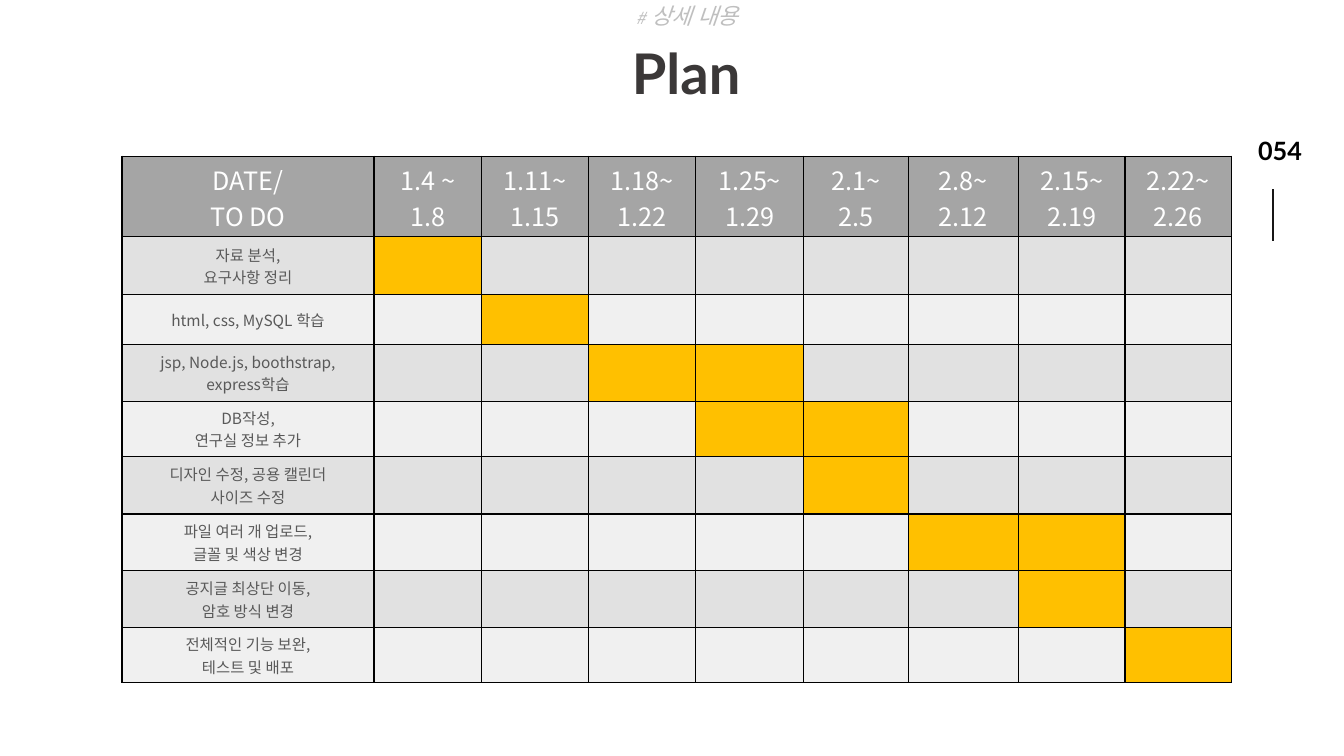
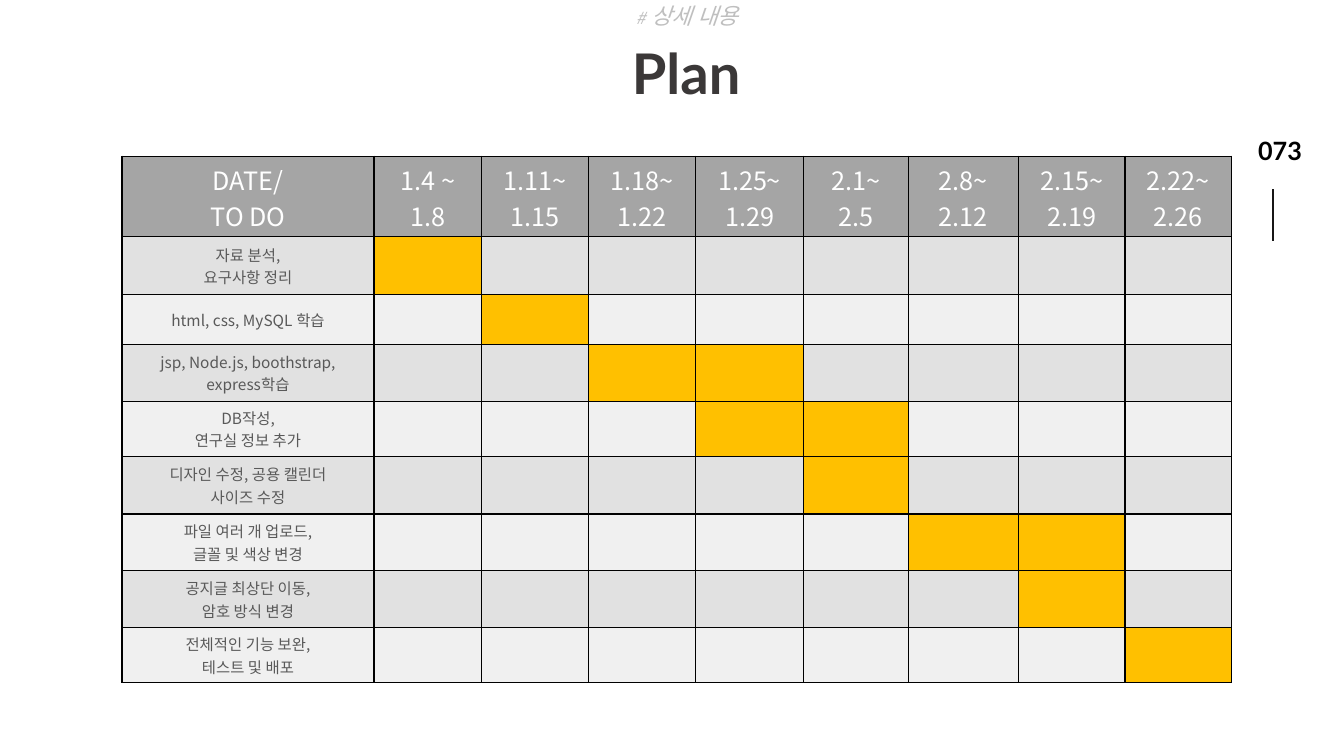
from pptx import Presentation
from pptx.dml.color import RGBColor
from pptx.enum.shapes import MSO_CONNECTOR
from pptx.enum.text import MSO_ANCHOR, MSO_AUTO_SIZE, PP_ALIGN
from pptx.oxml.ns import qn
from pptx.util import Emu, Pt
from lxml import etree

PX = 9144
CENTER, LEFT = PP_ALIGN.CENTER, PP_ALIGN.LEFT
TOP, MIDDLE = MSO_ANCHOR.TOP, MSO_ANCHOR.MIDDLE
NO_FIT = MSO_AUTO_SIZE.NONE
STRAIGHT = MSO_CONNECTOR.STRAIGHT

# Shared text styles
LATO, NOTO = "Lato", "Noto Sans CJK KR"
TITLE = {"name": LATO, "size": Pt(40), "bold": True, "color": "3B3838"}
PAGE = {"name": LATO, "size": Pt(18), "bold": True, "color": "000000"}
TAG = {"name": NOTO, "size": Pt(16), "italic": True, "color": "BFBFBF"}
HEAD = {"name": NOTO, "size": Pt(18), "bold": False, "color": "FFFFFF"}
TASK = {"name": NOTO, "size": Pt(11), "bold": False, "color": "595959"}
GREY, BANDS, BAR = "A5A5A5", ("E1E1E1", "F0F0F0"), "FFC000"

# Plan: dates, then tasks with the first and last week
COLS = [250, 107, 106, 106, 107, 104, 109, 106, 106]
ROWS = [80, 57, 50, 56, 55, 57, 56, 57, 54]
DATES = ["DATE/\nTO DO", "1.4 ~ 1.8", "1.11~\n1.15", "1.18~\n1.22",
         "1.25~\n1.29", "2.1~\n2.5", "2.8~\n2.12", "2.15~\n2.19",
         "2.22~\n2.26"]
TASKS = [
    ("자료 분석,\n요구사항 정리", 1, 1),
    ("html, css, MySQL 학습", 2, 2),
    ("jsp, Node.js, boothstrap, express학습", 3, 4),
    ("DB작성,\n연구실 정보 추가", 4, 5),
    ("디자인 수정, 공용 캘린더\n사이즈 수정", 5, 5),
    ("파일 여러 개 업로드,\n글꼴 및 색상 변경", 6, 7),
    ("공지글 최상단 이동,\n암호 방식 변경", 7, 7),
    ("전체적인 기능 보완,\n테스트 및 배포", 8, 8),
]


def px(n):
    return Emu(n * PX)


def rgb(code):
    return RGBColor.from_string(code)


class Deck:
    def __init__(self):
        self.prs = Presentation()
        self.prs.slide_width, self.prs.slide_height = px(1333), px(750)
        self.slide = None

    def start(self):
        self.slide = self.prs.slides.add_slide(self.prs.slide_layouts[5])

    def style(self, run, look):
        for key, val in look.items():
            if key == "color":
                run.font.color.rgb = rgb(val)
            else:
                setattr(run.font, key, val)
        east = etree.SubElement(run._r.get_or_add_rPr(), qn("a:ea"))
        east.set("typeface", look["name"])

    def text(self, frame, words, look, align=CENTER):
        frame.text = words
        for para in frame.paragraphs:
            para.alignment = align
            for run in para.runs:
                self.style(run, look)

    def title(self, words):
        box = self.slide.shapes.title
        box.left, box.top, box.width, box.height = map(px, (247, 41, 867, 89))
        frame = box.text_frame
        frame.auto_size, frame.vertical_anchor = NO_FIT, TOP
        self.text(frame, words, TITLE)
        frame.paragraphs[0].line_spacing = 0.9

    def box(self, x, y, w, h, wrap):
        shape = self.slide.shapes.add_textbox(*map(px, (x, y, w, h)))
        shape.text_frame.word_wrap = wrap
        return shape.text_frame

    def tag(self, words):
        para = self.box(465, 0, 433, 41, True).paragraphs[0]
        para.alignment, para.line_spacing = CENTER, Pt(18)
        for part, size in (("#", 12), (" ", 20), (words, 16)):
            run = para.add_run()
            run.text = part
            self.style(run, {**TAG, "size": Pt(size)})

    def page(self, num):
        self.text(self.box(1238, 129, 64, 40, False), num, PAGE, LEFT)
        line = self.slide.shapes.add_connector(
            STRAIGHT, *map(px, (1263, 188, 1263, 239)))
        line.line.color.rgb, line.line.width = rgb("181717"), Pt(1.5)
        etree.SubElement(line._element.spPr, qn("a:effectLst"))

    def cell(self, cell, fill):
        # Borders come before the fill in the cell properties
        props = cell._tc.get_or_add_tcPr()
        for side in ("lnL", "lnR", "lnT", "lnB"):
            edge = etree.SubElement(props, qn("a:" + side), w=str(Pt(1)))
            solid = etree.SubElement(edge, qn("a:solidFill"))
            etree.SubElement(solid, qn("a:srgbClr"), val="000000")
        cell.fill.solid()
        cell.fill.fore_color.rgb = rgb(fill)

    def plan(self):
        area = (121, 155, sum(COLS), sum(ROWS))
        grid = self.slide.shapes.add_table(
            len(ROWS), len(COLS), *map(px, area)).table
        grid.first_row = grid.horz_banding = False
        for col, wide in zip(grid.columns, COLS):
            col.width = px(wide)
        for row, high in zip(grid.rows, ROWS):
            row.height = px(high)
        # Header row
        for i, date in enumerate(DATES):
            cell = grid.cell(0, i)
            self.cell(cell, GREY)
            cell.margin_bottom = 0
            self.text(cell.text_frame, date, HEAD)
        # Task rows with their bars
        for r, (task, first, last) in enumerate(TASKS, 1):
            for c in range(len(COLS)):
                fill = BAR if first <= c <= last else BANDS[(r - 1) % 2]
                self.cell(grid.cell(r, c), fill)
            name = grid.cell(r, 0)
            name.vertical_anchor = MIDDLE
            name.margin_top = name.margin_bottom = px(2)
            self.text(name.text_frame, task, TASK)


def main():
    deck = Deck()
    for num in ("054", "073"):
        deck.start()
        deck.page(num)
        deck.title("Plan")
        deck.tag("상세 내용")
        deck.plan()
    deck.prs.save("out.pptx")


if __name__ == "__main__":
    main()
